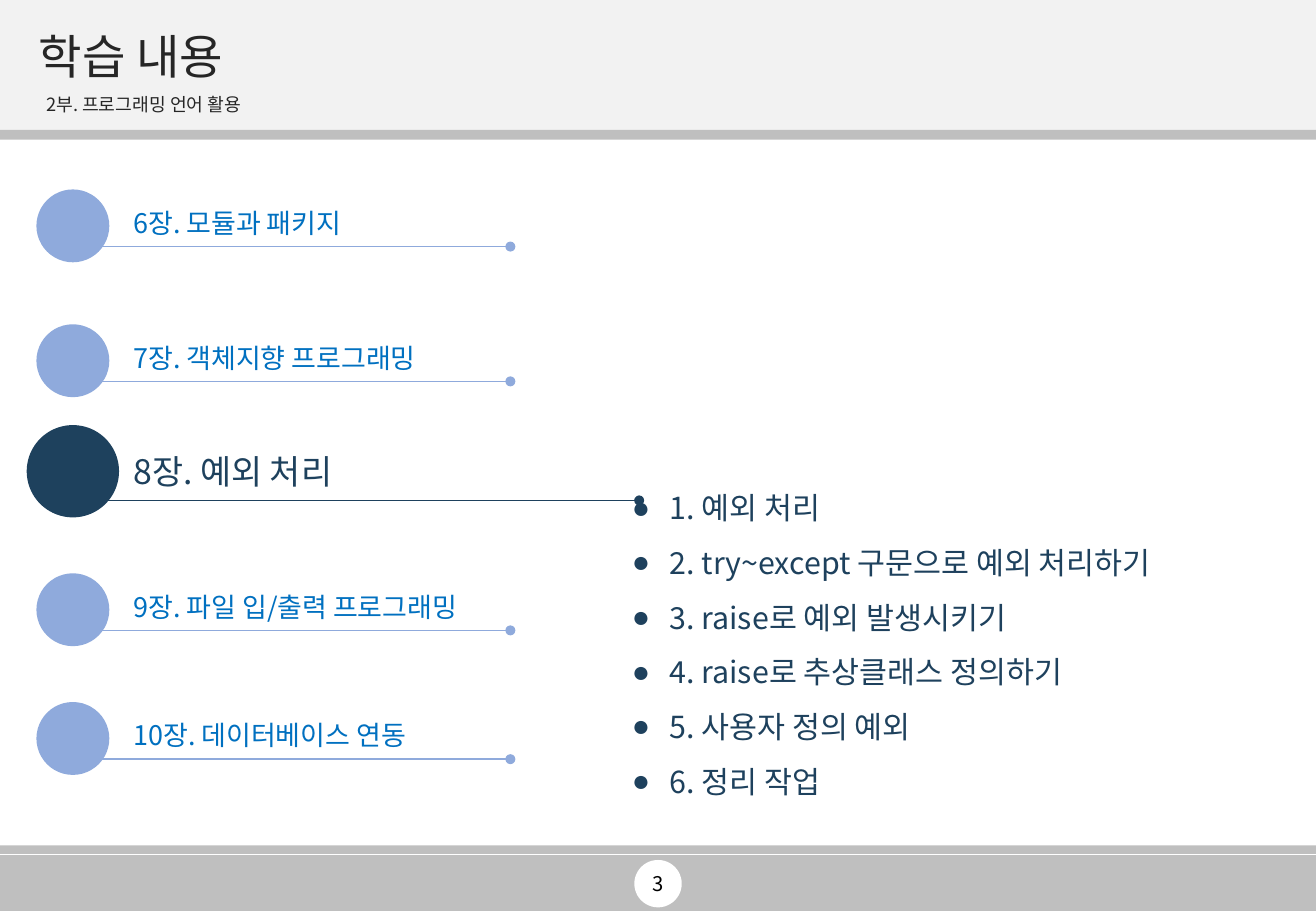
from lxml.etree import SubElement
from pptx import Presentation
from pptx.dml.color import RGBColor
from pptx.enum.shapes import MSO_CONNECTOR, MSO_SHAPE
from pptx.enum.text import MSO_ANCHOR, MSO_AUTO_SIZE, PP_ALIGN
from pptx.oxml.ns import qn
from pptx.util import Inches, Pt

FONT = "Noto Sans CJK KR"
NAVY = "1E415D"


def add_filled(kind, left, top, width, height, color):
    shape = slide.shapes.add_shape(kind, Inches(left), Inches(top), Inches(width), Inches(height))
    shape.shadow.inherit = False
    shape.fill.solid()
    shape.fill.fore_color.rgb = RGBColor.from_string(color)
    shape.line.fill.background()


def write(shape, box, lines, size, color, anchor=MSO_ANCHOR.TOP, align=PP_ALIGN.LEFT, spacing=1.0):
    shape.left, shape.top, shape.width, shape.height = [Inches(length) for length in box]
    frame = shape.text_frame
    frame.text = "\n".join(lines)
    frame.word_wrap = True
    frame.auto_size = MSO_AUTO_SIZE.NONE
    frame.vertical_anchor = anchor
    for paragraph in frame.paragraphs:
        paragraph.alignment = align
        paragraph.line_spacing = spacing
        paragraph.space_before = Pt(0)
        paragraph.font.name = FONT
        paragraph.font.size = Pt(size)
        paragraph.font.bold = False
        paragraph.font.color.rgb = RGBColor.from_string(color)
        default_run = paragraph._p.get_or_add_pPr().get_or_add_defRPr()
        SubElement(default_run, qn("a:ea"), typeface=FONT)


presentation = Presentation()
presentation.slide_width = Inches(10.83)
presentation.slide_height = Inches(7.5)
slide = presentation.slides.add_slide(presentation.slide_layouts[3])
title, subtitle, sections = slide.placeholders

bands = [(0, 1.07, "F2F2F2"), (1.07, 0.08, "BFBFBF"), (6.96, 0.07, "BFBFBF"), (7.04, 0.46, "BFBFBF")]
for top, height, color in bands:
    add_filled(MSO_SHAPE.RECTANGLE, 0, top, 10.83, height, color)
add_filled(MSO_SHAPE.OVAL, 5.22, 7.08, 0.39, 0.39, "FFFFFF")
page_number = slide.shapes.add_textbox(0, 0, 0, 0)
write(page_number, (4.2, 7.08, 2.44, 0.39), ["3"], 12, "000000", MSO_ANCHOR.MIDDLE, PP_ALIGN.CENTER)

chapters = [
    ("6장. 모듈과 패키지", 1.86, False),
    ("7장. 객체지향 프로그래밍", 2.97, False),
    ("8장. 예외 처리", 3.88, True),
    ("9장. 파일 입/출력 프로그래밍", 5.02, False),
    ("10장. 데이터베이스 연동", 6.08, False),
]
for name, middle, current in chapters:
    if current:
        diameter, line_drop, line_end, text_rise = 0.76, 0.24, 5.26, 0.22
        size, color, text_color = 20, NAVY, NAVY
    else:
        diameter, line_drop, line_end, text_rise = 0.6, 0.17, 4.2, 0.21
        size, color, text_color = 16, "8FAADC", "0070C0"
    add_filled(MSO_SHAPE.OVAL, 0.6 - diameter / 2, middle - diameter / 2, diameter, diameter, color)
    line_top = Inches(middle + line_drop)
    connector = slide.shapes.add_connector(
        MSO_CONNECTOR.STRAIGHT, Inches(0.79), line_top, Inches(line_end), line_top
    )
    connector.line.width = Pt(1)
    connector.line.color.rgb = RGBColor.from_string(color)
    SubElement(connector.line._get_or_add_ln(), qn("a:tailEnd"), type="oval")
    SubElement(connector._element.spPr, qn("a:effectLst"))
    label = slide.shapes.add_textbox(0, 0, 0, 0)
    write(label, (1, middle - text_rise, 4, 0.4), [name], size, text_color)

write(title, (0.22, 0.21, 10.39, 0.55), ["학습 내용"], 28, "262626", MSO_ANCHOR.MIDDLE, spacing=0.9)
write(subtitle, (0.3, 0.76, 10.32, 0.24), ["2부. 프로그래밍 언어 활용"], 10.8, "262626", MSO_ANCHOR.MIDDLE, spacing=0.7)
subtitle.text_frame.margin_left = Inches(0.08)
subtitle.text_frame.paragraphs[0].space_before = Pt(8.1)
section_names = [
    "1. 예외 처리",
    "2. try~except 구문으로 예외 처리하기",
    "3. raise로 예외 발생시키기",
    "4. raise로 추상클래스 정의하기",
    "5. 사용자 정의 예외",
    "6. 정리 작업",
]
write(sections, (5.1, 3.83, 5.38, 2.83), section_names, 18, NAVY, spacing=1.5)

bullets = [(subtitle, 0, "buNone", {}), (sections, 0.31, "buChar", {"char": "●"})]
for placeholder, indent, tag, attributes in bullets:
    for paragraph in placeholder.text_frame.paragraphs:
        properties = paragraph._p.get_or_add_pPr()
        properties.set("marL", str(Inches(indent)))
        properties.set("indent", str(-Inches(indent)))
        bullet = SubElement(properties, qn(f"a:{tag}"), attributes)
        properties.defRPr.addprevious(bullet)

for placeholder in (title, subtitle, sections):
    slide.shapes._spTree.append(placeholder._element)

presentation.save("out.pptx")
